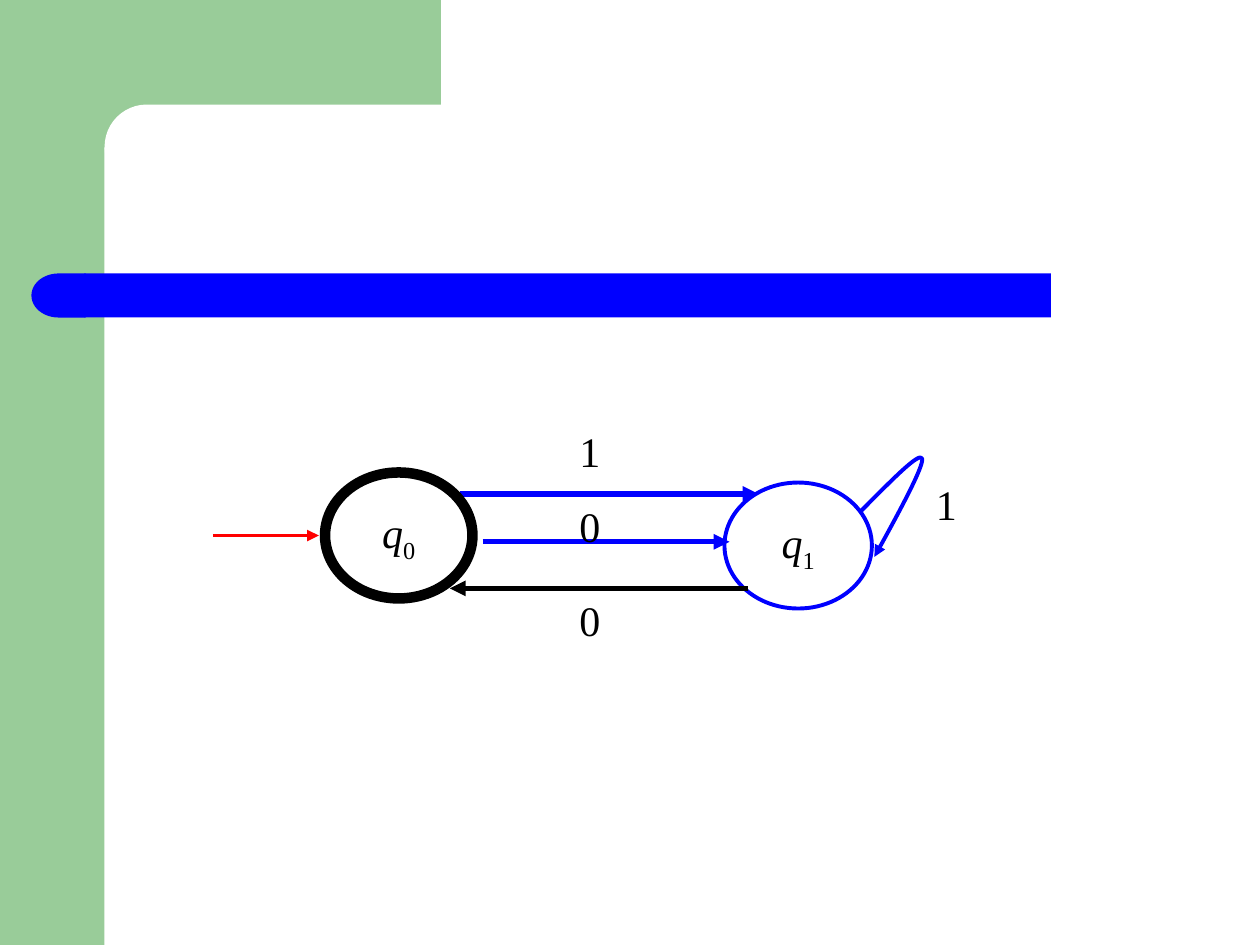
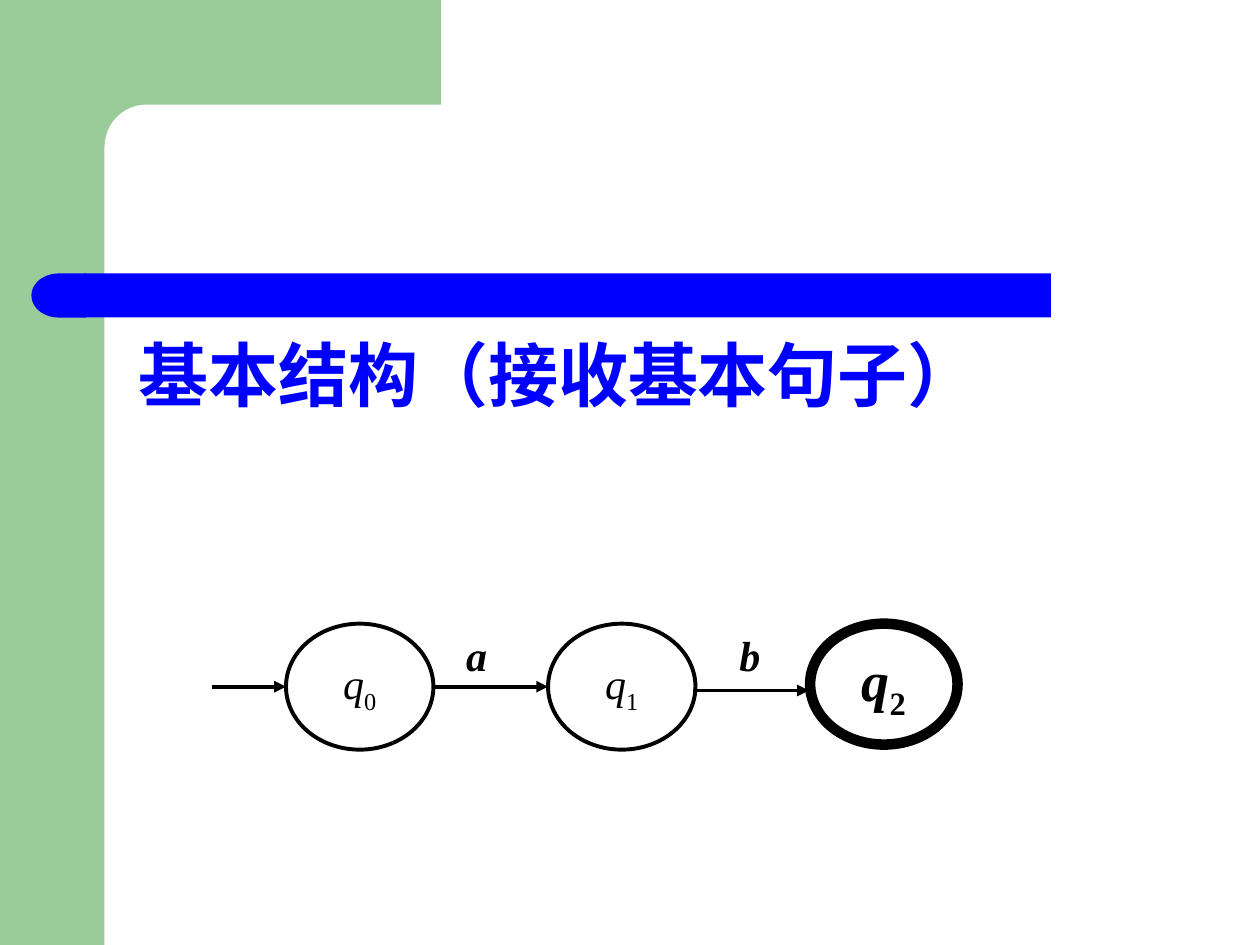
from dataclasses import dataclass

from lxml import etree
from pptx import Presentation
from pptx.dml.color import RGBColor
from pptx.enum import shapes as kinds, text as txt
from pptx.oxml import ns
from pptx.util import Inches, Pt

KIND = kinds.MSO_SHAPE


@dataclass(frozen=True)
class Theme:
    font: str = "Times New Roman"
    green: str = "99CC99"
    blue: str = "0000FF"
    red: str = "FF0000"
    black: str = "000000"
    white: str = "FFFFFF"
    head: int = 40
    big: int = 32
    label: int = 24
    thin: float = 2.25
    mid: float = 3
    thick: float = 6


T = Theme()
NODE_W, NODE_H = 1.17, 1


def rgb(code):
    return RGBColor.from_string(code)


def style(font, size, color=T.black, bold=False):
    font.name, font.size, font.bold = T.font, Pt(size), bold
    font.color.rgb = rgb(color)


def block(slide, kind, box, color, round_by=None):
    """Filled shape without outline."""
    shape = slide.shapes.add_shape(kind, *map(Inches, box))
    shape.shadow.inherit = False
    shape.fill.solid()
    shape.fill.fore_color.rgb = rgb(color)
    shape.line.fill.background()
    if round_by is not None:
        shape.adjustments[0] = round_by
    return shape


def frame(slide, width, height):
    """Green corner and blue bar shared by all slides."""
    block(slide, KIND.RECTANGLE, (0, 0, 0.83, height), T.green)
    block(slide, KIND.RECTANGLE, (0.75, 0, 2.75, 1.17), T.green)
    block(slide, KIND.ROUNDED_RECTANGLE, (0.83, 0.83, 5.58, 0.67), T.white, 0.5)
    block(slide, KIND.RECTANGLE, (0.67, 2.17, width - 2.33, 0.35), T.blue)
    cap = block(slide, KIND.FLOWCHART_DELAY, (0.25, 2.17, 0.43, 0.35), T.blue)
    cap._element.spPr.find(ns.qn("a:xfrm")).set("flipH", "1")


def state(slide, x, y, index, color=T.black, weight=T.thin,
          size=T.label, bold=False, height=NODE_H):
    """Automaton state: an ellipse named q with a subscript."""
    oval = slide.shapes.add_shape(
        KIND.OVAL, *map(Inches, (x, y, NODE_W, height)))
    oval.shadow.inherit = False
    oval.fill.background()
    oval.line.color.rgb = rgb(color)
    oval.line.width = Pt(weight)
    box = oval.text_frame
    box.word_wrap = False
    box.vertical_anchor = txt.MSO_ANCHOR.MIDDLE
    para = box.paragraphs[0]
    para.alignment = txt.PP_ALIGN.CENTER
    style(para.font, size, bold=bold)
    for part, slant in (("q", True), (str(index), False)):
        run = para.add_run()
        run.text = part
        style(run.font, size, bold=bold)
        run.font.italic = slant
    run._r.get_or_add_rPr().set("baseline", "-25000")


def tip(line):
    """Arrowhead at the end of a line."""
    etree.SubElement(line.get_or_add_ln(), ns.qn("a:tailEnd"), type="triangle")


def arrow(slide, x1, x2, y, color=T.black, weight=T.thin):
    link = slide.shapes.add_connector(
        kinds.MSO_CONNECTOR.STRAIGHT, *map(Inches, (x1, y, x2, y)))
    link.line.color.rgb = rgb(color)
    link.line.width = Pt(weight)
    tip(link)
    etree.SubElement(link._element.spPr, ns.qn("a:effectLst"))


def label(slide, x, y, word, strong=False):
    box = slide.shapes.add_textbox(*map(Inches, (x, y, 0.42, 0.5)))
    box.text_frame.word_wrap = True
    para = box.text_frame.paragraphs[0]
    para.text = word
    style(para.font, T.label, bold=strong)
    para.font.italic = strong


def loop(slide, x, y, color):
    """Curved arrow from a state back to itself."""
    start, *rest = [(0, 0.48), (0.24, 0.24), (0.47, 0), (0.49, 0.06),
                    (0.5, 0.12), (0.31, 0.48), (0.11, 0.84)]
    pen = slide.shapes.build_freeform(
        Inches(x + start[0]), Inches(y + start[1]))
    pen.add_line_segments(
        [(Inches(x + dx), Inches(y + dy)) for dx, dy in rest], close=False)
    curve = pen.convert_to_shape()
    # Turn each three points into one Bezier segment
    route = next(curve._element.iter(ns.qn("a:path")))
    steps = route.findall(ns.qn("a:lnTo"))
    for i in range(0, len(steps), 3):
        bend = etree.SubElement(route, ns.qn("a:cubicBezTo"))
        for step in steps[i:i + 3]:
            bend.append(step[0])
            route.remove(step)
    curve.shadow.inherit = False
    curve.fill.background()
    curve.line.color.rgb = rgb(color)
    curve.line.width = Pt(T.thin)
    tip(curve)


def heading(slide, box, words):
    """Body placeholder with one line and no bullet."""
    body = slide.placeholders[1]
    body.left, body.top, body.width, body.height = map(Inches, box)
    para = body.text_frame.paragraphs[0]
    para.text = words
    props = para._p.get_or_add_pPr()
    props.set("marL", str(Inches(0.38)))
    props.set("indent", str(-Inches(0.38)))
    etree.SubElement(props, ns.qn("a:buNone"))
    para.space_before = Pt(0)
    style(para.font, T.head, T.blue, bold=True)


def cycle(slide, x, y):
    """Two states with arrows both ways and a loop."""
    state(slide, x + 4.06, y + 0.5, 1, T.blue)
    arrow(slide, x, x + 0.84, y + 0.92, T.red)
    for x1, x2, dy, color in ((2.14, 4.1, 0.97, T.blue),
                              (4.25, 1.88, 1.34, T.black),
                              (1.96, 4.33, 0.59, T.blue)):
        arrow(slide, x + x1, x + x2, y + dy, color, T.mid)
    for dy, word in ((0, "1"), (0.59, "0"), (1.34, "0")):
        label(slide, x + 2.81, y + dy, word)
    loop(slide, x + 5.14, y + 0.25, T.blue)
    label(slide, x + 5.64, y + 0.42, "1")
    state(slide, x + 0.89, y + 0.42, 0, weight=T.thick)


def chain(slide, x, y):
    """Three states in a row; the last one accepts."""
    pitch = 2.08
    for i in range(2):
        state(slide, x + 0.59 + i * pitch, y, i)
    state(slide, x + 0.59 + 2 * pitch, y, 2, weight=T.thick,
          size=T.big, bold=True, height=0.96)
    for x1, x2, dy in ((0, 0.59, 0.5), (1.75, 2.67, 0.5), (3.82, 4.74, 0.53)):
        arrow(slide, x + x1, x + x2, y + dy)
    for dx, word in ((1.92, "a"), (4.09, "b")):
        label(slide, x + dx, y, word, strong=True)


def main():
    deck = Presentation()
    width, height = 10, 7.5
    deck.slide_width, deck.slide_height = Inches(width), Inches(height)

    # Loop automaton
    slide = deck.slides.add_slide(deck.slide_layouts[6])
    frame(slide, width, height)
    cycle(slide, 1.69, 3.33)

    # Basic structure
    slide = deck.slides.add_slide(deck.slide_layouts[1])
    title = slide.shapes.title._element
    title.getparent().remove(title)
    frame(slide, width, height)
    body = slide.placeholders[1]._element
    body.getparent().append(body)
    heading(slide, (1, 2.58, 8.75, 4.08), "基本结构（接收基本句子）")
    chain(slide, 1.68, 4.95)

    deck.save("out.pptx")


if __name__ == "__main__":
    main()
